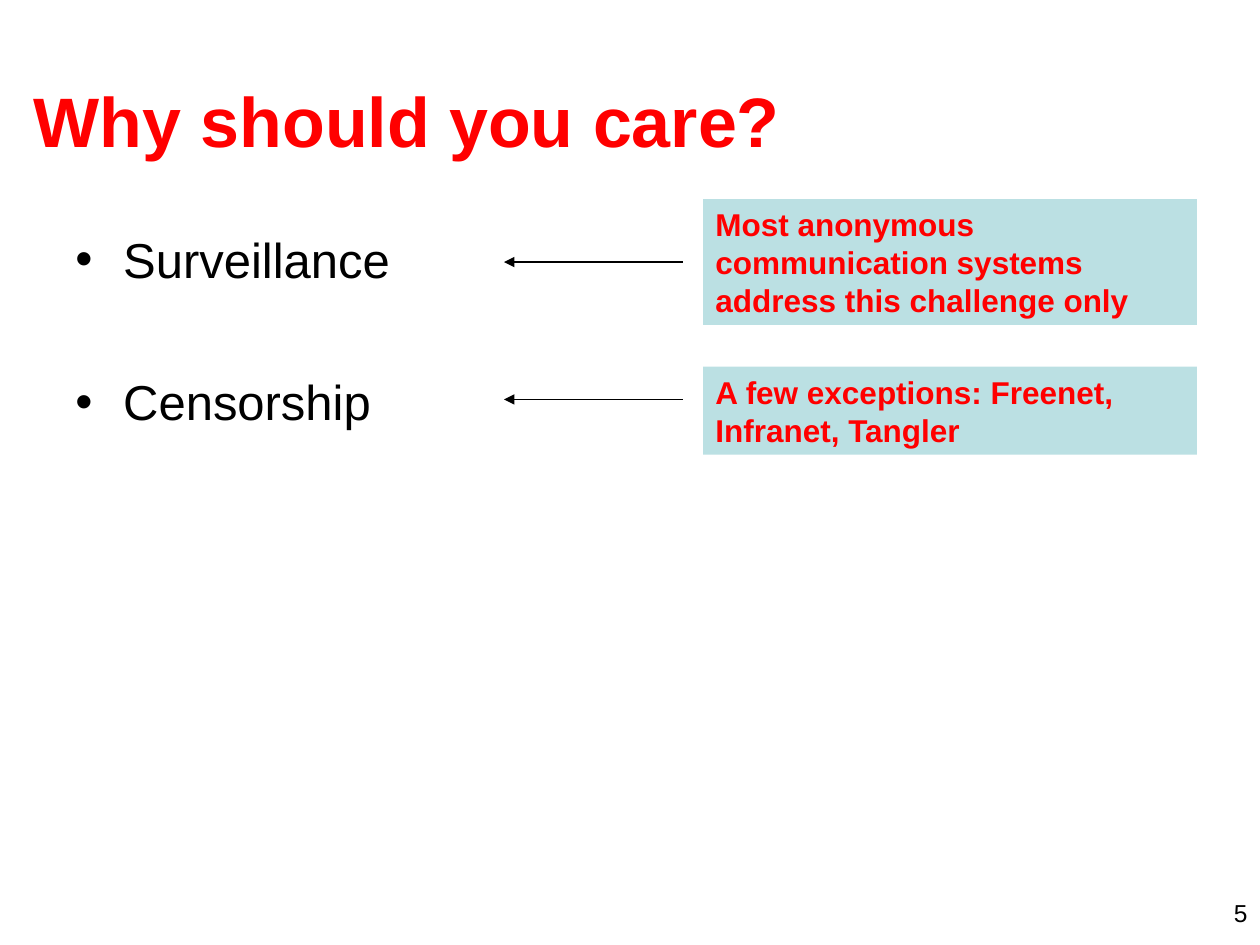
from lxml import etree
from pptx import Presentation
from pptx.dml.color import RGBColor
from pptx.enum.shapes import MSO_CONNECTOR, MSO_SHAPE
from pptx.enum.text import MSO_ANCHOR, PP_ALIGN
from pptx.oxml.ns import qn
from pptx.util import Inches, Pt

RED = RGBColor(0xFF, 0x00, 0x00)
BLACK = RGBColor(0x00, 0x00, 0x00)
TEAL = RGBColor(0xBB, 0xE0, 0xE3)
TOP, MID = MSO_ANCHOR.TOP, MSO_ANCHOR.MIDDLE
LEFT, RIGHT = PP_ALIGN.LEFT, PP_ALIGN.RIGHT
RECT, LINE = MSO_SHAPE.RECTANGLE, MSO_CONNECTOR.STRAIGHT
FONT = "Arial"
WIDE, HIGH = 10, 7.5
LEAD = 1.2


def add_dot(para, hang):
    props = para._p.get_or_add_pPr()
    props.set("marL", str(Inches(hang)))
    props.set("indent", str(-Inches(hang)))
    font = etree.SubElement(props, qn("a:buFont"))
    font.set("typeface", FONT)
    dot = etree.SubElement(props, qn("a:buChar"))
    dot.set("char", "•")


def put_text(shape, *lines, size=18, color=BLACK, bold=False,
             align=LEFT, anchor=TOP, hang=0, gap=0):
    frame = shape.text_frame
    frame.word_wrap = True
    frame.vertical_anchor = anchor
    for i, line in enumerate(lines):
        para = frame.add_paragraph() if i else frame.paragraphs[0]
        if hang:
            add_dot(para, hang)
        para.alignment = align
        para.line_spacing = Pt(size * LEAD)
        if i:
            para.space_before = Pt(gap)
        run = para.add_run()
        run.text = line
        font = run.font
        font.name, font.size, font.bold = FONT, Pt(size), bold
        font.color.rgb = color


def add_box(slide, box):
    return slide.shapes.add_textbox(*map(Inches, box))


def add_title(slide, box):
    put_text(add_box(slide, box), "Why should you care?",
             size=40, color=RED, bold=True, anchor=MID)


def add_list(slide, box):
    put_text(add_box(slide, box), "Surveillance", "Censorship",
             size=28, hang=0.38, gap=48)


def add_note(slide, box, text):
    note = slide.shapes.add_shape(RECT, *map(Inches, box))
    note.shadow.inherit = False
    note.fill.solid()
    note.fill.fore_color.rgb = TEAL
    note.line.fill.background()
    put_text(note, text, color=RED, bold=True)


def add_arrow(slide, start, end, y):
    arrow = slide.shapes.add_connector(LINE, *map(Inches, (start, y, end, y)))
    arrow.line.color.rgb = BLACK
    arrow.line.width = Pt(0.75)
    tip = etree.SubElement(arrow.line._get_or_add_ln(), qn("a:tailEnd"))
    tip.set("type", "triangle")
    etree.SubElement(arrow._element.spPr, qn("a:effectLst"))


def add_notes(slide, box, rows):
    left, top, width, _ = box
    for text, drop, height, y in rows:
        add_note(slide, (left, top + drop, width, height), text)
        add_arrow(slide, left - 0.16, left - 1.58, top + y)


def add_page(slide, box):
    put_text(add_box(slide, box), "5", size=14, align=RIGHT)


def main():
    deck = Presentation()
    deck.slide_width, deck.slide_height = Inches(WIDE), Inches(HIGH)
    slide = deck.slides.add_slide(deck.slide_layouts[6])
    add_title(slide, (0.17, 0.32, 9.58, 1.25))
    add_list(slide, (0.5, 1.77, WIDE * 0.9, HIGH * 0.66))
    rows = [
        ("Most anonymous communication systems address this challenge only",
         0, 1, 0.5),
        ("A few exceptions: Freenet, Infranet, Tangler", 1.33, 0.7, 1.59),
    ]
    add_notes(slide, (5.58, 1.58, 3.92, 2.03), rows)
    add_page(slide, (7.67, 7.08, 2.33, 0.25))
    deck.save("out.pptx")


if __name__ == "__main__":
    main()
